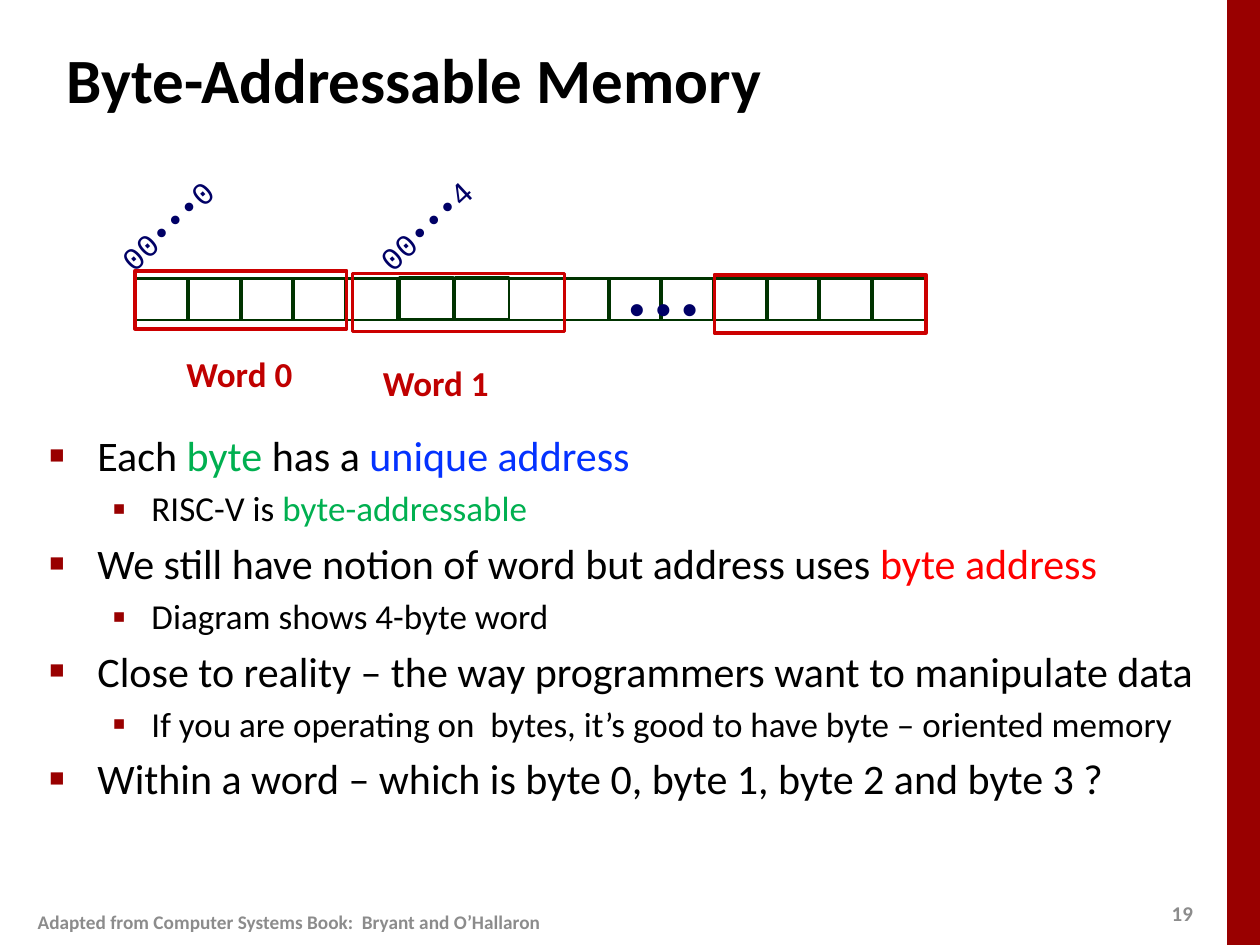
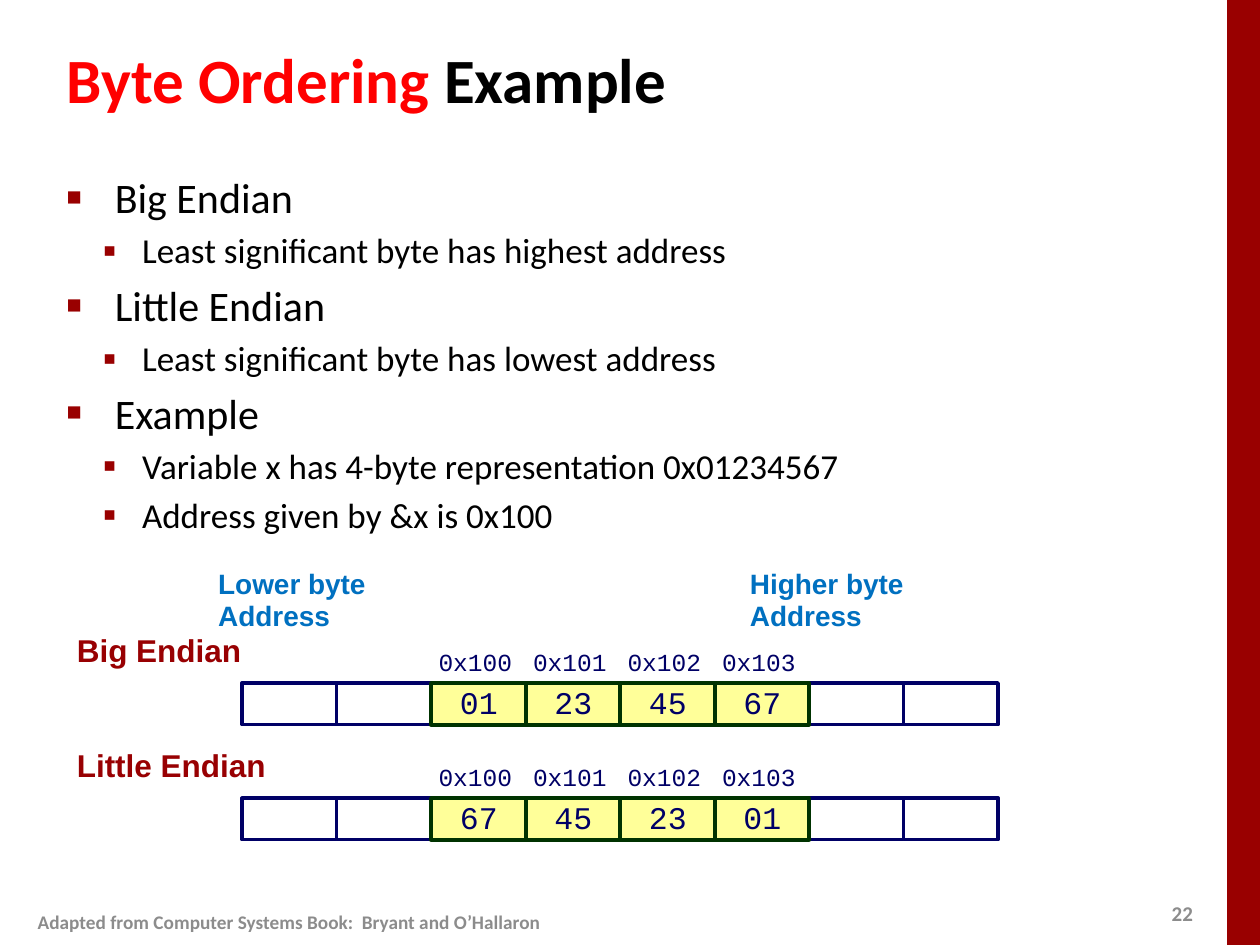
"""Build two slides on byte-addressable memory and byte ordering."""
from lxml import etree
from pptx import Presentation, util as u
from pptx.dml.color import RGBColor
from pptx.enum import shapes, text
from pptx.oxml.ns import qn

BLACK, RED, GREEN, BLUE = "000000", "FF0000", "00B050", "0432FF"
CRIMSON, GREY, NAVY, FOREST = "990000", "8C8C8C", "000066", "003300"
WHITE, YELLOW, FRAME_RED = "FFFFFF", "FFFF99", "CC0000"

FOOTER = "Adapted from Computer Systems Book:  Bryant and O’Hallaron"
TITLE_BOX = (1.09, 0.53, 21.08, 2.11)
LEVELS = [
    {"size": 24, "bullet": "■", "bullet_percent": 60, "hanging": 0.97},
    {"size": 20, "bullet": "▪", "bullet_percent": 110, "hanging": 0.79},
]

MEMORY = {
    "number": "19",
    "title": [("Byte-Addressable Memory", BLACK)],
    "body_box": (0.74, 8.53, 24.13, 9.19),
    "margins": (0.97, 2.06),
    "body": [
        (0, [("Each ", BLACK), ("byte", GREEN), (" has a ", BLACK), ("unique address", BLUE)]),
        (1, [("RISC-V is ", BLACK), ("byte-addressable", GREEN)]),
        (0, [("We still have notion of word but address uses ", BLACK), ("byte address", RED)]),
        (1, [("Diagram shows 4-byte word", BLACK)]),
        (0, [("Close to reality – the way programmers want to manipulate data", BLACK)]),
        (1, [("If you are operating on  bytes, it’s good to have byte – oriented memory", BLACK)]),
        (0, [("Within a word – which is byte 0, byte 1, byte 2 and byte 3 ?", BLACK)]),
    ],
}
ORDERING = {
    "number": "22",
    "title": [("Byte Ordering ", RED), ("Example", BLACK)],
    "body_box": (1.09, 3.33, 21.95, 14.4),
    "margins": (0.97, 1.52),
    "body": [
        (0, [("Big Endian", BLACK)]),
        (1, [("Least significant byte has highest address", BLACK)]),
        (0, [("Little Endian", BLACK)]),
        (1, [("Least significant byte has lowest address", BLACK)]),
        (0, [("Example", BLACK)]),
        (1, [("Variable x has 4-byte representation 0x01234567", BLACK)]),
        (1, [("Address given by &x is 0x100", BLACK)]),
    ],
}

CELL_LEFT, CELL_TOP, CELL_PITCH, CELL_WIDTH, CELL_HEIGHT = 2.72, 5.61, 1.06, 1.09, 0.84
CELL_SPANS = [(i, 1) for i in range(5)] + [(5, 4)] + [(i, 1) for i in range(9, 15)]
EXTRA_CELLS = [(8.05, 5.59), (9.17, 5.59)]
WORD_FRAMES = [(2.72, 5.46), (7.11, 5.51), (14.4, 5.54)]
WORD_ADDRESSES = [("00•••0", 2.11), ("00•••4", 7.32)]
WORD_NAMES = [("Word 0", 3.51, 6.99), ("Word 1", 7.47, 7.16)]

ADDRESSES = ["0x100", "0x101", "0x102", "0x103"]
BYTE_ORDERS = [
    ("Big Endian", ["01", "23", "45", "67"], 13.77),
    ("Little Endian", ["67", "45", "23", "01"], 16.09),
]
ROW_LEFT, ROW_WIDTH, ROW_CELLS, FIRST_BYTE = 4.88, 15.24, 8, 2
ADDRESS_ENDS = [("Lower byte Address", 4.32), ("Higher byte Address", 15.04)]

TIGHT = (0.15, 0.15, 0.13, 0.15)
SLIM = (0.08, 0.08, 0.18, 0.08)


def colour(value):
    """Turn a hex string into a colour."""
    return RGBColor.from_string(value)


def lengths(values):
    """Turn centimetres into lengths."""
    return [u.Cm(value) for value in values]


def place(shape, box):
    """Move and size a shape."""
    shape.left, shape.top, shape.width, shape.height = lengths(box)


def add_run(paragraph, words, size, tint, font="Calibri", bold=False):
    """Append one formatted run."""
    run = paragraph.add_run()
    run.text = words
    run.font.name, run.font.size, run.font.bold = font, u.Pt(size), bold
    run.font.color.rgb = colour(tint)


def set_indent(paragraph, margin, hanging):
    """Give a paragraph a left margin and a hanging first line."""
    properties = paragraph._p.get_or_add_pPr()
    properties.set("marL", str(u.Cm(margin)))
    properties.set("indent", str(-u.Cm(hanging)))
    return properties


def set_insets(frame, insets):
    """Set the left, top, right and bottom insets of a text frame."""
    (frame.margin_left, frame.margin_top,
     frame.margin_right, frame.margin_bottom) = lengths(insets)


def add_rectangle(slide, box, fill=None, line=None, width=1.5):
    """Add a plain rectangle."""
    shape = slide.shapes.add_shape(shapes.MSO_SHAPE.RECTANGLE, *lengths(box))
    shape.shadow.inherit = False
    if fill:
        shape.fill.solid()
        shape.fill.fore_color.rgb = colour(fill)
    else:
        shape.fill.background()
    if line:
        shape.line.color.rgb = colour(line)
        shape.line.width = u.Pt(width)
    else:
        shape.line.fill.background()
    return shape


def add_label(slide, words, box, size, tint, font="Calibri", bold=False, wrap=True,
              insets=None, spacing=None, middle=False, centred=False):
    """Add a text box holding one run."""
    shape = slide.shapes.add_textbox(*lengths(box))
    frame = shape.text_frame
    frame.word_wrap = wrap
    if not wrap:
        frame.auto_size = text.MSO_AUTO_SIZE.SHAPE_TO_FIT_TEXT
    if insets:
        set_insets(frame, insets)
    if middle:
        frame.vertical_anchor = text.MSO_ANCHOR.MIDDLE
    paragraph = frame.paragraphs[0]
    if spacing:
        paragraph.line_spacing = spacing
    if centred:
        paragraph.alignment = text.PP_ALIGN.CENTER
    add_run(paragraph, words, size, tint, font, bold)
    return shape


def add_bullet(paragraph, level, margin, runs):
    """Fill a bulleted paragraph."""
    style = LEVELS[level]
    paragraph.level = level
    properties = set_indent(paragraph, margin, style["hanging"])
    bullet_colour = etree.SubElement(properties, qn("a:buClr"))
    etree.SubElement(bullet_colour, qn("a:srgbClr"), val=CRIMSON)
    etree.SubElement(properties, qn("a:buSzPct"), val=str(style["bullet_percent"] * 1000))
    etree.SubElement(properties, qn("a:buChar"), char=style["bullet"])
    for words, tint in runs:
        add_run(paragraph, words, style["size"], tint)


def add_content_slide(presentation, content):
    """Add a slide with its band, number, title, list and footer."""
    slide = presentation.slides.add_slide(presentation.slide_layouts[1])
    add_rectangle(slide, (24.74, 0, 0.66, 19.05), CRIMSON)
    add_label(slide, content["number"], (23.37, 18.03, 1.02, 0.76), 12, GREY,
              bold=True, middle=True)
    add_label(slide, FOOTER, (0.51, 18.06, 12.6, 1.04), 11, GREY, bold=True, middle=True)

    title, body = slide.shapes.title, slide.placeholders[1]
    place(title, TITLE_BOX)
    place(body, content["body_box"])
    for placeholder in (title, body):
        placeholder.text_frame.auto_size = text.MSO_AUTO_SIZE.NONE
    title.text_frame.vertical_anchor = text.MSO_ANCHOR.MIDDLE
    heading = title.text_frame.paragraphs[0]
    heading.alignment = text.PP_ALIGN.LEFT
    set_indent(heading, 0.33, 0.33)
    for words, tint in content["title"]:
        add_run(heading, words, 36, tint, bold=True)

    frame = body.text_frame
    for index, (level, runs) in enumerate(content["body"]):
        paragraph = frame.add_paragraph() if index else frame.paragraphs[0]
        add_bullet(paragraph, level, content["margins"][level], runs)
    return slide


def draw_memory(slide):
    """Draw the row of bytes grouped into words."""
    for start, span in CELL_SPANS:
        width = CELL_WIDTH + (span - 1) * CELL_PITCH
        left = CELL_LEFT + start * CELL_PITCH
        add_rectangle(slide, (left, CELL_TOP, width, CELL_HEIGHT), line=FOREST)
    for left, top in EXTRA_CELLS:
        add_rectangle(slide, (left, top, CELL_WIDTH, CELL_HEIGHT), line=FOREST)
    for left, top in WORD_FRAMES:
        add_rectangle(slide, (left, top, 4.27, 1.17), line=FRAME_RED, width=2)
    for words, left in WORD_ADDRESSES:
        label = add_label(slide, words, (left, 4.09, 2.58, 0.99), 18, NAVY, "Courier New",
                          wrap=False, insets=TIGHT, spacing=0.9)
        label.rotation = 317
    for words, left, top in WORD_NAMES:
        add_label(slide, words, (left, top, 2.67, 1.12), 20, "C00000", bold=True, wrap=False)
    add_label(slide, "• • •", (11.23, 5.66, 4.27, 1.3), 24, NAVY, "Arial", bold=True,
              insets=TIGHT, spacing=0.9, centred=True)


def draw_byte_order(slide, name, values, top):
    """Draw one labelled row of cells with the bytes in its middle."""
    pitch = ROW_WIDTH / ROW_CELLS
    byte_columns = range(FIRST_BYTE, FIRST_BYTE + len(values))
    add_label(slide, name, (1.47, top - 1.07, 4.98, 0.91), 18, "980002", "Arial", bold=True,
              insets=SLIM, spacing=0.95)
    for column in range(ROW_CELLS):
        if column not in byte_columns:
            add_rectangle(slide, (ROW_LEFT + column * pitch, top, pitch, 0.84), WHITE, NAVY, 2)
    for column, address, value in zip(byte_columns, ADDRESSES, values):
        left = ROW_LEFT + column * pitch
        add_label(slide, address, (left, top - 0.86, pitch, 0.84), 14, NAVY, "Courier New",
                  wrap=False, insets=(0.15, 0.15, 0.25, 0.15), middle=True)
        cell = add_rectangle(slide, (left, top, pitch, 0.84), YELLOW, FOREST, 2.25)
        frame = cell.text_frame
        set_insets(frame, (0.15, 0, 0.13, 0))
        frame.vertical_anchor = text.MSO_ANCHOR.MIDDLE
        paragraph = frame.paragraphs[0]
        paragraph.alignment = text.PP_ALIGN.CENTER
        paragraph.line_spacing = 0.9
        add_run(paragraph, value, 18, NAVY, "Courier New")


def main():
    """Build and save the presentation."""
    presentation = Presentation()
    presentation.slide_width, presentation.slide_height = u.Cm(25.4), u.Cm(19.05)
    draw_memory(add_content_slide(presentation, MEMORY))
    ordering_slide = add_content_slide(presentation, ORDERING)
    for name, values, top in BYTE_ORDERS:
        draw_byte_order(ordering_slide, name, values, top)
    for words, left in ADDRESS_ENDS:
        add_label(ordering_slide, words, (left, 11.4, 4.98, 0.91), 16, "0070C0", "Arial",
                  bold=True, insets=SLIM, spacing=0.95)
    presentation.save("out.pptx")


if __name__ == "__main__":
    main()
